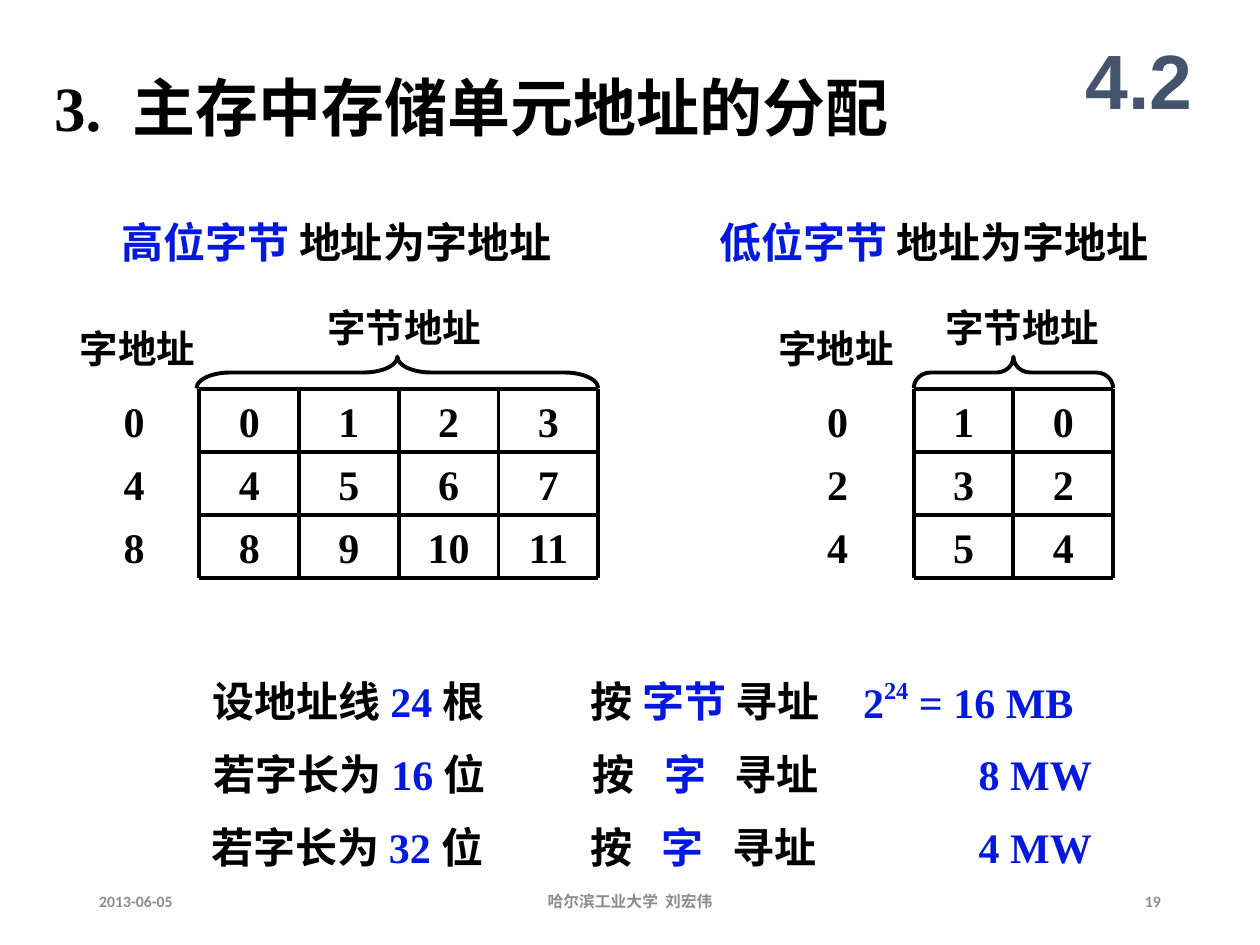
from lxml.etree import SubElement
from pptx import Presentation
from pptx.dml.color import RGBColor
from pptx.enum.shapes import MSO_CONNECTOR, MSO_SHAPE
from pptx.enum.text import MSO_ANCHOR, PP_ALIGN
from pptx.oxml.ns import qn
from pptx.util import Cm, Pt

BLACK, BLUE, SLATE, GREY = "000000", "0419E0", "44546A", "8C8C8C"
SERIF = "Times New Roman"
CELL_W, CELL_H = 2.01, 1.27
GRID_TOP = 7.84
LINE_W = 2.25


def color(text):
    return RGBColor.from_string(text)


class Page:
    def __init__(self, slide):
        self.slide = slide

    def style(self, run, size, hue, font):
        run.font.size = Pt(size)
        run.font.name = font
        run.font.bold = True
        run.font.color.rgb = color(hue)

    def text(self, x, y, w, h, parts, size=24, font=SERIF,
             align=PP_ALIGN.LEFT, anchor=MSO_ANCHOR.TOP, tabs=()):
        frame = self.slide.shapes.add_textbox(Cm(x), Cm(y), Cm(w), Cm(h)).text_frame
        frame.word_wrap = True
        frame.vertical_anchor = anchor
        para = frame.paragraphs[0]
        para.alignment = align
        for words, hue in parts:
            run = para.add_run()
            run.text = words
            self.style(run, size, hue, font)
        if tabs:
            stops = SubElement(para._p.get_or_add_pPr(), qn("a:tabLst"))
            for stop in tabs:
                SubElement(stops, qn("a:tab"), pos=str(Cm(stop)), algn="l")
        return para

    def number(self, x, row, value):
        self.text(x, GRID_TOP + row * CELL_H, CELL_W, CELL_H, [(str(value), BLACK)],
                  align=PP_ALIGN.CENTER, anchor=MSO_ANCHOR.MIDDLE)

    def line(self, x1, y1, x2, y2):
        rule = self.slide.shapes.add_connector(
            MSO_CONNECTOR.STRAIGHT, Cm(x1), Cm(y1), Cm(x2), Cm(y2))
        rule.line.color.rgb = color(BLACK)
        rule.line.width = Pt(LINE_W)
        SubElement(rule._element.spPr, qn("a:effectLst"))

    def grid(self, x, values):
        rows, cols = len(values), len(values[0])
        right, bottom = x + cols * CELL_W, GRID_TOP + rows * CELL_H
        for r, row in enumerate(values):
            for c, value in enumerate(row):
                self.number(x + c * CELL_W, r, value)
        for r in range(rows + 1):
            y = GRID_TOP + r * CELL_H
            self.line(x, y, right, y)
        for c in range(cols + 1):
            left = x + c * CELL_W
            self.line(left, GRID_TOP, left, bottom)

    def brace(self, mid, span, bend):
        deep = 0.64
        shape = self.slide.shapes.add_shape(
            MSO_SHAPE.LEFT_BRACE, Cm(mid - deep / 2), Cm(7.51 - span / 2), Cm(deep), Cm(span))
        shape.rotation = 90
        shape.adjustments[0] = bend
        shape.shadow.inherit = False
        shape.fill.background()
        shape.line.color.rgb = color(BLACK)
        shape.line.width = Pt(LINE_W)

    def memory(self, x, label_x, word_x, byte_x, values, words, brace):
        self.text(word_x, 6.43, 3.48, 1.19, [("字地址", BLACK)], 22)
        self.text(byte_x, 6.01, 3.63, 1.19, [("字节地址", BLACK)], 22)
        self.brace(*brace)
        self.grid(x, values)
        for r, word in enumerate(words):
            self.number(label_x, r, word)


deck = Presentation()
deck.slide_width, deck.slide_height = Cm(25.4), Cm(19.05)
page = Page(deck.slides.add_slide(deck.slide_layouts[6]))

page.text(0.84, 1.25, 17.4, 1.78, [("3.  主存中存储单元地址的分配", BLACK)], 36)
page.text(21.38, 0.42, 3.18, 2.34, [("4.2", SLATE)], 44, "Arial",
          PP_ALIGN.CENTER, MSO_ANCHOR.MIDDLE)

for x, kind in ((2.2, "高位字节 "), (14.25, "低位字节 ")):
    page.text(x, 4.24, 9.4, 1.27, [(kind, BLUE), ("地址为字地址", BLACK)])

high = [[4 * r + c for c in range(4)] for r in range(3)]
low = [[2 * r + 1 - c for c in range(2)] for r in range(3)]
page.memory(4.02, 1.7, 1.36, 6.35, high, range(0, 12, 4), (8.01, 8.1, 1.06))
page.memory(18.42, 15.88, 15.44, 18.81, low, range(0, 6, 2), (20.43, 4.02, 0.53))

word_mode = ("按\t", "字", "\t寻址")
cases = [
    (4.04, 11.66, "设地址线 ", "24 ", "根", ("按 ", "字节 ", "寻址"), ()),
    (4.06, 11.69, "若字长为 ", "16 ", "位", word_mode, (1.45, 2.86)),
    (4.01, 11.66, "若字长为 ", "32", " 位", word_mode, (1.42, 2.86)),
]
tops = [13.49 + 1.47 * i for i in range(3)]
for y, (left, mid, lead, count, unit, mode, tabs) in zip(tops, cases):
    page.text(left, y, 7.6, 1.27, [(lead, BLACK), (count, BLUE), (unit, BLACK)])
    page.text(mid, y, 5.4, 1.27, list(zip(mode, (BLACK, BLUE, BLACK))), tabs=tabs)

power = page.text(17.15, tops[0], 6.15, 1.27, [("2", BLUE), ("24", BLUE), (" = 16 MB", BLUE)])
power.runs[1].font._element.set("baseline", "45000")
for y, size in zip(tops[1:], ("8 MW", "4 MW")):
    page.text(19.48, y, 5.72, 1.27, [(size, BLUE)])

for x, w, note, align in (
    (1.75, 5.72, "2013-06-05", PP_ALIGN.LEFT),
    (8.41, 8.58, "哈尔滨工业大学  刘宏伟", PP_ALIGN.CENTER),
    (17.93, 5.72, "19", PP_ALIGN.RIGHT),
):
    page.text(x, 17.65, w, 1.02, [(note, GREY)], 9, "Calibri", align, MSO_ANCHOR.MIDDLE)

deck.save("out.pptx")
